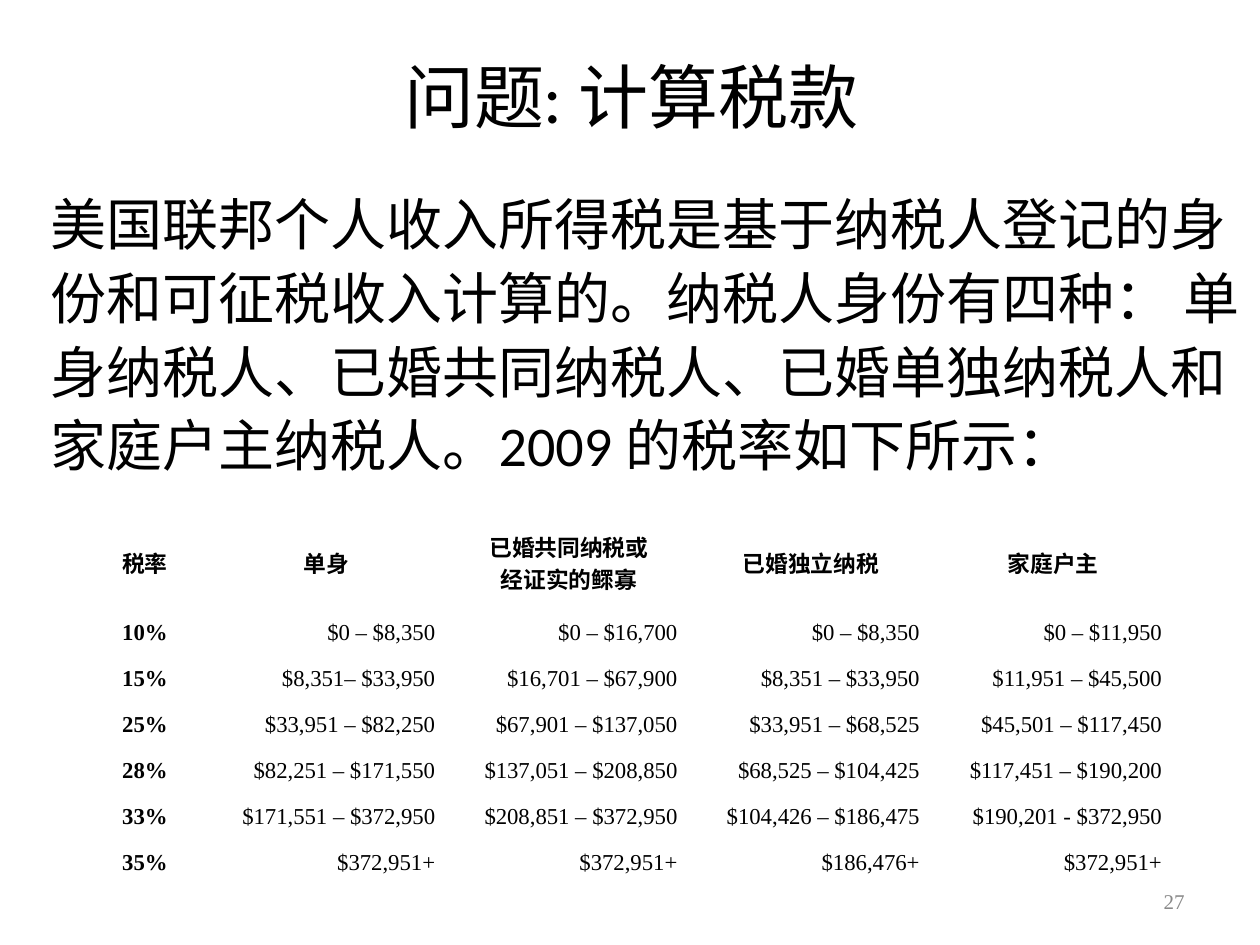
from dataclasses import dataclass

from pptx import Presentation
from pptx.dml.color import RGBColor
from pptx.enum.text import MSO_ANCHOR as Anchor, PP_ALIGN as Align
from pptx.slide import Slide
from pptx.text.text import TextFrame
from pptx.util import Inches, Pt


@dataclass(frozen=True)
class Style:
    font: str
    size: float
    color: str = "000000"
    align: Align = Align.LEFT
    bold: bool = False
    line_spacing: float = 1.0
    space_before: float = 0


@dataclass(frozen=True)
class Passage:
    text: str
    left: float
    top: float
    width: float
    height: float
    style: Style
    anchor: Anchor = Anchor.MIDDLE
    inset_x: float = 0.1
    inset_y: float = 0.05


def rgb(code: str) -> RGBColor:
    return RGBColor.from_string(code)


def write(frame: TextFrame, text: str, style: Style) -> None:
    frame.text = text
    for paragraph in frame.paragraphs:
        paragraph.alignment = style.align
        paragraph.line_spacing = style.line_spacing
        paragraph.space_before = Pt(style.space_before)
        font = paragraph.font
        font.name, font.size, font.bold = style.font, Pt(style.size), style.bold
        font.color.rgb = rgb(style.color)


def draw_passage(slide: Slide, passage: Passage) -> None:
    box = slide.shapes.add_textbox(
        Inches(passage.left), Inches(passage.top),
        Inches(passage.width), Inches(passage.height))
    frame = box.text_frame
    frame.word_wrap = True
    frame.vertical_anchor = passage.anchor
    frame.margin_left = frame.margin_right = Inches(passage.inset_x)
    frame.margin_top = frame.margin_bottom = Inches(passage.inset_y)
    write(frame, passage.text, passage.style)


def draw_brackets(slide: Slide, rows: list[tuple[str, ...]]) -> None:
    width, rate_width = Inches(8.65), Inches(0.96)
    height, heading_height = Inches(2.94), Inches(0.75)
    brackets = slide.shapes.add_table(
        len(rows), len(rows[0]), Inches(0.67), Inches(4.09), width, height).table
    brackets.first_row = brackets.horz_banding = False
    amount_width = (width - rate_width) // (len(rows[0]) - 1)
    amount_height = (height - heading_height) // (len(rows) - 1)
    for index, column in enumerate(brackets.columns):
        column.width = amount_width if index else rate_width
    for r, values in enumerate(rows):
        brackets.rows[r].height = amount_height if r else heading_height
        for c, value in enumerate(values):
            cell = brackets.cell(r, c)
            cell.fill.background()
            cell.vertical_anchor = Anchor.MIDDLE
            cell.margin_left = cell.margin_right = Inches(0.1)
            cell.margin_top = cell.margin_bottom = Inches(0.05)
            write(cell.text_frame, value, AMOUNT if r and c else HEADING)


HEADING = Style("Times New Roman", 13, align=Align.CENTER, bold=True)
AMOUNT = Style("Times New Roman", 13, align=Align.RIGHT)

PASSAGES = [
    Passage("问题: 计算税款", 0.76, 0.47, 8.5, 0.58,
            Style("Calibri", 40, align=Align.CENTER), inset_x=0, inset_y=0),
    Passage("美国联邦个人收入所得税是基于纳税人登记的身份和可征税收入计算的。"
            "纳税人身份有四种： 单身纳税人、已婚共同纳税人、已婚单独纳税人和"
            "家庭户主纳税人。2009 的税率如下所示：",
            0.3, 1.4, 9.7, 2.83,
            Style("Calibri", 32, line_spacing=1.1, space_before=8), Anchor.TOP),
    Passage("27", 7.17, 6.95, 2.33, 0.4,
            Style("Times New Roman", 12, "898989", Align.RIGHT)),
]

TAX_ROWS = [
    ("税率", "单身", "已婚共同纳税或\n经证实的鳏寡", "已婚独立纳税", "家庭户主"),
    ("10%", "$0 – $8,350", "$0 – $16,700", "$0 – $8,350", "$0 – $11,950"),
    ("15%", "$8,351– $33,950", "$16,701 – $67,900", "$8,351 – $33,950", "$11,951 – $45,500"),
    ("25%", "$33,951 – $82,250", "$67,901 – $137,050", "$33,951 – $68,525", "$45,501 – $117,450"),
    ("28%", "$82,251 – $171,550", "$137,051 – $208,850", "$68,525 – $104,425", "$117,451 – $190,200"),
    ("33%", "$171,551 – $372,950", "$208,851 – $372,950", "$104,426 – $186,475", "$190,201 - $372,950"),
    ("35%", "$372,951+", "$372,951+", "$186,476+", "$372,951+"),
]


def main() -> None:
    """Build the slide on computing federal income tax."""
    deck = Presentation()
    deck.slide_width, deck.slide_height = Inches(10), Inches(7.5)
    slide = deck.slides.add_slide(deck.slide_layouts[6])
    for passage in PASSAGES:
        draw_passage(slide, passage)
    draw_brackets(slide, TAX_ROWS)
    deck.save("out.pptx")


if __name__ == "__main__":
    main()
